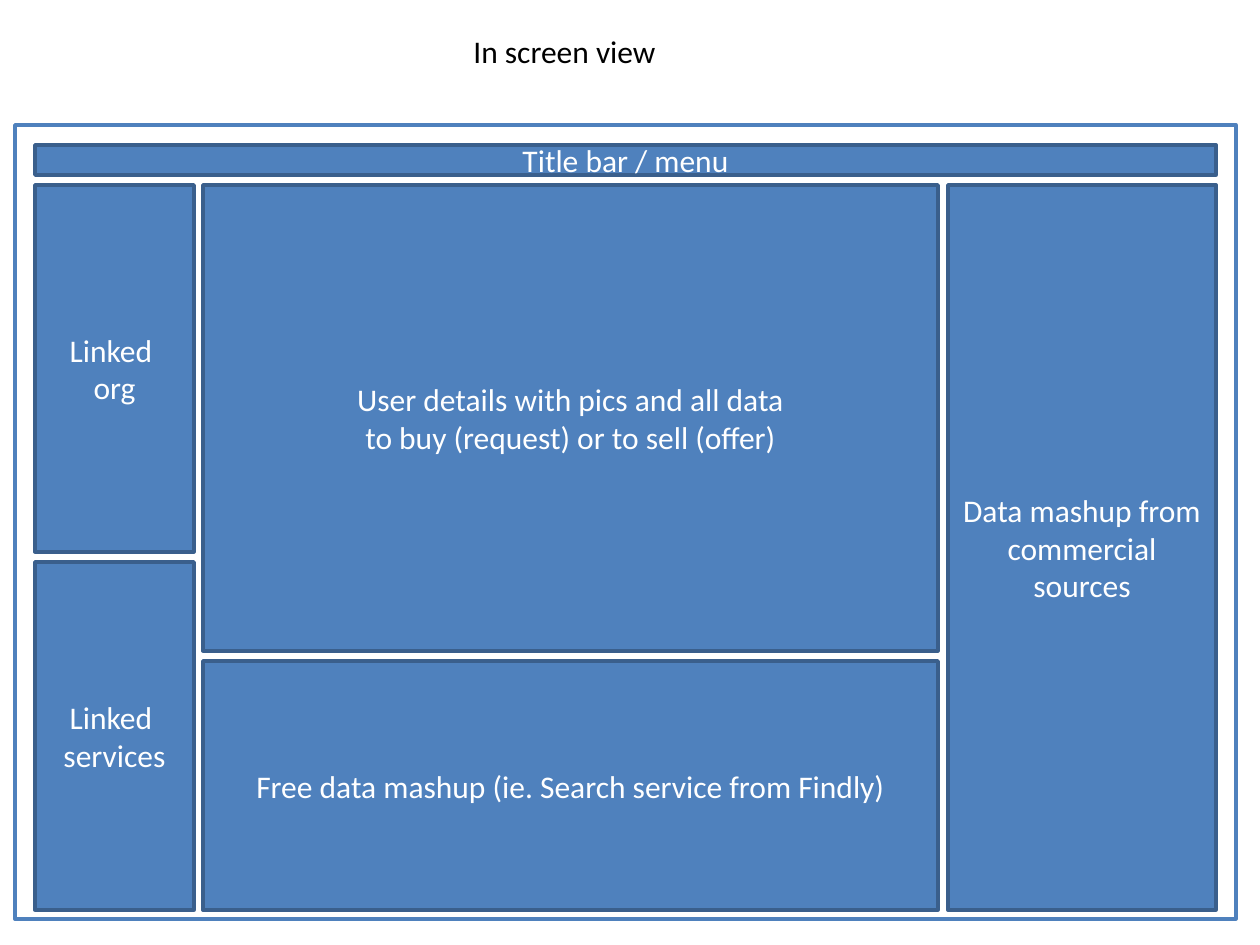
"""Builds a wireframe slide of the in-screen view."""
from pptx import Presentation
from pptx.dml.color import RGBColor
from pptx.enum.shapes import MSO_SHAPE as Shape
from pptx.enum.text import MSO_ANCHOR as Anchor, MSO_AUTO_SIZE as AutoSize, PP_ALIGN as Align
from pptx.util import Inches, Pt

SCALE = Inches(1) / 126
BLUE = RGBColor(0x4F, 0x81, 0xBD)
DARK_BLUE = RGBColor(0x3A, 0x5F, 0x8C)
WHITE = RGBColor(0xFF, 0xFF, 0xFF)
BLACK = RGBColor(0x00, 0x00, 0x00)


class Wireframe:
    font_name = "Calibri"
    font_size = Pt(18)
    line_width = Pt(2)

    def __init__(self, slide):
        self.slide = slide

    def place(self, *lengths):
        return [round(length * SCALE) for length in lengths]

    def add_lines(self, para, text, color):
        for index, line in enumerate(text.split("\n")):
            if index:
                para.add_line_break()
            span = para.add_run()
            span.text = line
            span.font.name = self.font_name
            span.font.size = self.font_size
            span.font.color.rgb = color

    def caption(self, left, top, width, height, text):
        box = self.slide.shapes.add_textbox(*self.place(left, top, width, height))
        box.text_frame.word_wrap = False
        box.text_frame.auto_size = AutoSize.SHAPE_TO_FIT_TEXT
        self.add_lines(box.text_frame.paragraphs[0], text, BLACK)

    def rectangle(self, left, top, right, bottom, fill, line):
        box = self.slide.shapes.add_shape(
            Shape.RECTANGLE, *self.place(left, top, right - left, bottom - top))
        box.shadow.inherit = False
        box.fill.solid()
        box.fill.fore_color.rgb = fill
        box.line.color.rgb = line
        box.line.width = self.line_width
        return box

    def panel(self, left, top, right, bottom, text):
        frame = self.rectangle(left, top, right, bottom, BLUE, DARK_BLUE).text_frame
        frame.word_wrap = True
        frame.vertical_anchor = Anchor.MIDDLE
        para = frame.paragraphs[0]
        para.alignment = Align.CENTER
        self.add_lines(para, text, WHITE)


def main():
    deck = Presentation()
    deck.slide_width, deck.slide_height = Inches(10), Inches(7.5)
    page = Wireframe(deck.slides.add_slide(deck.slide_layouts[6]))

    gap = 10
    left, right, top, bottom = 35, 1216, 185, 910
    side_end, main_end = 194, 938
    main_start, sources_start = side_end + gap - 1, main_end + gap
    side_split, main_split = 552, 651

    page.caption(461, 26, 210, 50, "In screen view")
    page.rectangle(15, 125, 1236, 919, WHITE, BLUE)
    page.panel(left, 145, right, top - gap, "Title bar / menu")
    page.panel(main_start, top, main_end, main_split,
               "User details with pics and all data\nto buy (request) or to sell (offer)")
    page.panel(left, top, side_end, side_split, "Linked \norg")
    page.panel(left, side_split + gap, side_end, bottom, "Linked \nservices")
    page.panel(main_start, main_split + gap, main_end, bottom,
               "Free data mashup (ie. Search service from Findly)")
    page.panel(sources_start, top, right, bottom, "Data mashup from commercial sources")
    deck.save("out.pptx")


if __name__ == "__main__":
    main()
